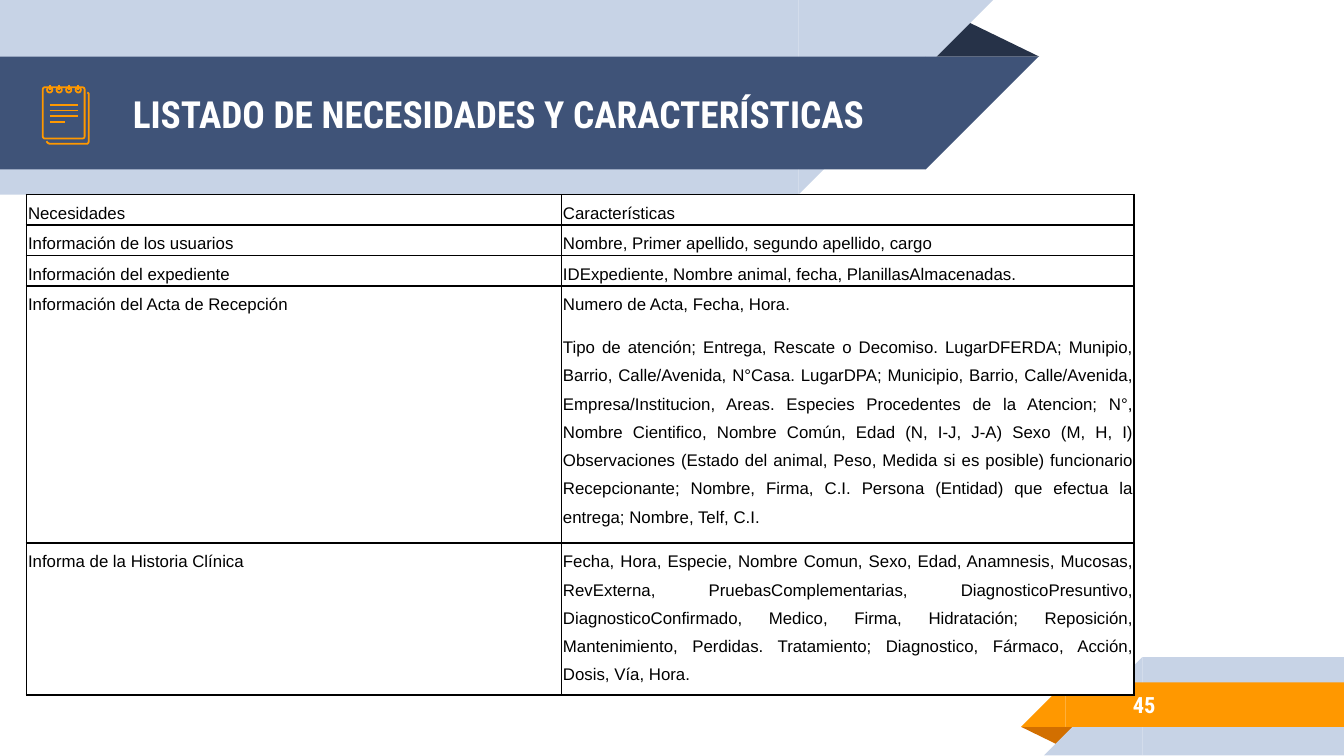
from dataclasses import dataclass

from lxml import etree
from pptx import Presentation
from pptx.dml.color import RGBColor
from pptx.enum.shapes import MSO_CONNECTOR, MSO_SHAPE
from pptx.enum.text import MSO_ANCHOR, PP_ALIGN
from pptx.oxml.ns import qn
from pptx.util import Cm, Pt

RECTANGLE = MSO_SHAPE.RECTANGLE
RIGHT_TRIANGLE = MSO_SHAPE.RIGHT_TRIANGLE
TRIANGLE = MSO_SHAPE.ISOSCELES_TRIANGLE
ROUNDED = MSO_SHAPE.ROUNDED_RECTANGLE
OVAL = MSO_SHAPE.OVAL
STRAIGHT = MSO_CONNECTOR.STRAIGHT
MIDDLE = MSO_ANCHOR.MIDDLE
JUSTIFY = PP_ALIGN.JUSTIFY

WHITE, BLACK = "FFFFFF", "000000"
NAVY, DARK_NAVY, PALE_BLUE = "3F5378", "263248", "C7D3E6"
ORANGE, DARK_ORANGE = "FF9800", "D26F00"
ICON_LINE = Pt(0.96)


@dataclass
class Band:
    """A rectangle with a 45 degree end as wide as the band is high."""
    left: float
    top: float
    width: float
    height: float
    color: str
    slopes_right: bool


@dataclass
class Fold:
    left: float
    top: float
    width: float
    height: float
    color: str
    rotation: int


@dataclass
class Label:
    left: float
    top: float
    width: float
    height: float
    text: str
    size: int


HEADER_FOLD = Fold(17.48, 0.36, 2.16, 0.71, DARK_NAVY, 0)
HEADER_BANDS = [
    Band(0, 0, 15.09, 3.68, PALE_BLUE, True),
    Band(0, 1.07, 17.5, 2.13, NAVY, True),
]
FOOTER_FOLD = Fold(19.3, 13.74, 1.09, 0.36, DARK_ORANGE, 180)
FOOTER_BANDS = [
    Band(21.59, 12.42, 3.81, 1.86, PALE_BLUE, False),
    Band(20.14, 12.9, 5.27, 0.84, ORANGE, False),
]
LABELS = [
    Label(2.26, 1.09, 14.6, 2.13, "LISTADO DE NECESIDADES Y CARACTERÍSTICAS", 20),
    Label(21.16, 12.88, 4.14, 0.89, "45", 12),
]

COLUMN_WIDTHS = [10.11, 10.82]
ROW_HEIGHTS = [0.48, 0.48, 0.48, 4.6, 2.67]
ROWS = [
    ("Necesidades", "Características"),
    ("Información de los usuarios",
     "Nombre, Primer apellido, segundo apellido, cargo"),
    ("Información del expediente",
     "IDExpediente, Nombre animal, fecha, PlanillasAlmacenadas."),
    ("Información del Acta de Recepción",
     "Numero de Acta, Fecha, Hora.\n"
     "Tipo de atención; Entrega, Rescate o Decomiso. LugarDFERDA; Munipio, "
     "Barrio, Calle/Avenida, N°Casa. LugarDPA; Municipio, Barrio, Calle/Avenida, "
     "Empresa/Institucion, Areas. Especies Procedentes de la Atencion; N°, "
     "Nombre Cientifico, Nombre Común, Edad (N, I-J, J-A) Sexo (M, H, I) "
     "Observaciones (Estado del animal, Peso, Medida si es posible) funcionario "
     "Recepcionante; Nombre, Firma, C.I. Persona (Entidad) que efectua la "
     "entrega; Nombre, Telf, C.I."),
    ("Informa de la Historia Clínica",
     "Fecha, Hora, Especie, Nombre Comun, Sexo, Edad, Anamnesis, Mucosas, "
     "RevExterna, PruebasComplementarias, DiagnosticoPresuntivo, "
     "DiagnosticoConfirmado, Medico, Firma, Hidratación; Reposición, "
     "Mantenimiento, Perdidas. Tratamiento; Diagnostico, Fármaco, Acción, "
     "Dosis, Vía, Hora."),
]


def rgb(color: str) -> RGBColor:
    return RGBColor.from_string(color)


def add_solid(slide, kind, left: float, top: float, width: float, height: float, color: str):
    shape = slide.shapes.add_shape(kind, Cm(left), Cm(top), Cm(width), Cm(height))
    shape.shadow.inherit = False
    shape.fill.solid()
    shape.fill.fore_color.rgb = rgb(color)
    shape.line.fill.background()
    return shape


def add_band(slide, band: Band) -> None:
    end_left = band.left + band.width if band.slopes_right else band.left - band.height
    parts = [
        add_solid(slide, RECTANGLE, band.left, band.top, band.width, band.height, band.color),
        add_solid(slide, RIGHT_TRIANGLE, end_left, band.top, band.height, band.height, band.color),
    ]
    for shape in parts:
        shape.rotation = 180 if band.slopes_right else 0
        shape._element.spPr.get_or_add_xfrm().set("flipH", "1")


def add_fold(slide, fold: Fold) -> None:
    shape = add_solid(slide, TRIANGLE, fold.left, fold.top, fold.width, fold.height, fold.color)
    shape.adjustments[0] = 0.324
    shape.rotation = fold.rotation


def style_outline(shape) -> None:
    shape.shadow.inherit = False
    shape.fill.background()
    shape.line.color.rgb = rgb(ORANGE)
    shape.line.width = ICON_LINE


def add_icon_line(slide, x1: float, y1: float, x2: float, y2: float) -> None:
    connector = slide.shapes.add_connector(STRAIGHT, Cm(x1), Cm(y1), Cm(x2), Cm(y2))
    connector.line.color.rgb = rgb(ORANGE)
    connector.line.width = ICON_LINE
    etree.SubElement(connector._element.spPr, qn("a:effectLst"))


def add_notepad(slide) -> None:
    # Back sheet, then front sheet
    builder = slide.shapes.build_freeform(Cm(0.88), Cm(2.67))
    points = [(0.9, 2.7), (0.94, 2.72), (1.65, 2.72), (1.67, 2.7), (1.68, 2.67),
              (1.68, 1.78), (1.67, 1.76), (1.65, 1.75)]
    builder.add_line_segments([(Cm(x), Cm(y)) for x, y in points], close=False)
    style_outline(builder.convert_to_shape())
    sheet = slide.shapes.add_shape(ROUNDED, Cm(0.81), Cm(1.65), Cm(0.79), Cm(0.97))
    sheet.adjustments[0] = 0.05
    style_outline(sheet)
    # Rings with their wires
    for index in range(4):
        center = 0.94 + 0.18 * index
        ring = slide.shapes.add_shape(OVAL, Cm(center - 0.05), Cm(1.65), Cm(0.1), Cm(0.1))
        style_outline(ring)
        add_icon_line(slide, center, 1.6, center, 1.7)
    # Written lines
    for index, length in enumerate([0.54, 0.54, 0.54, 0.28]):
        y = 1.98 + 0.11 * index
        add_icon_line(slide, 0.94, y, 0.94 + length, y)


def add_label(slide, label: Label) -> None:
    box = slide.shapes.add_textbox(Cm(label.left), Cm(label.top), Cm(label.width), Cm(label.height))
    frame = box.text_frame
    frame.word_wrap = True
    frame.vertical_anchor = MIDDLE
    frame.margin_left = frame.margin_right = Cm(0.25)
    frame.margin_top = frame.margin_bottom = Cm(0.25)
    frame.text = label.text
    font = frame.paragraphs[0].runs[0].font
    font.name, font.size, font.bold = "Roboto Condensed", Pt(label.size), True
    font.color.rgb = rgb(WHITE)


def fill_cell(cell, text: str) -> None:
    cell.margin_left = cell.margin_right = Cm(0.03)
    cell.margin_top = cell.margin_bottom = 0
    properties = cell._tc.get_or_add_tcPr()
    for side in ("lnL", "lnR", "lnT", "lnB"):
        border = etree.SubElement(properties, qn(f"a:{side}"), w=str(Pt(1)))
        solid = etree.SubElement(border, qn("a:solidFill"))
        etree.SubElement(solid, qn("a:srgbClr"), val=BLACK)
    cell.fill.solid()
    cell.fill.fore_color.rgb = rgb(WHITE)
    cell.text_frame.text = text
    for index, paragraph in enumerate(cell.text_frame.paragraphs):
        paragraph.alignment = JUSTIFY
        paragraph.line_spacing = 1.5
        paragraph.space_before = Pt(8 if index else 0)
        font = paragraph.runs[0].font
        font.name, font.size = "Arial", Pt(9)
        font.color.rgb = rgb(BLACK)


def add_needs_table(slide) -> None:
    frame = slide.shapes.add_table(len(ROWS), len(COLUMN_WIDTHS), Cm(0.5), Cm(3.68),
                                   Cm(sum(COLUMN_WIDTHS)), Cm(sum(ROW_HEIGHTS)))
    table = frame.table
    table.first_row = table.horz_banding = False
    for column, width in zip(table.columns, COLUMN_WIDTHS):
        column.width = Cm(width)
    for row, height, texts in zip(table.rows, ROW_HEIGHTS, ROWS):
        row.height = Cm(height)
        for cell, text in zip(row.cells, texts):
            fill_cell(cell, text)


def main() -> None:
    presentation = Presentation()
    presentation.slide_width, presentation.slide_height = Cm(25.4), Cm(14.29)
    slide = presentation.slides.add_slide(presentation.slide_layouts[6])
    for fold, bands in ((HEADER_FOLD, HEADER_BANDS), (FOOTER_FOLD, FOOTER_BANDS)):
        add_fold(slide, fold)
        for band in bands:
            add_band(slide, band)
    add_notepad(slide)
    for label in LABELS:
        add_label(slide, label)
    add_needs_table(slide)
    presentation.save("out.pptx")


if __name__ == "__main__":
    main()
